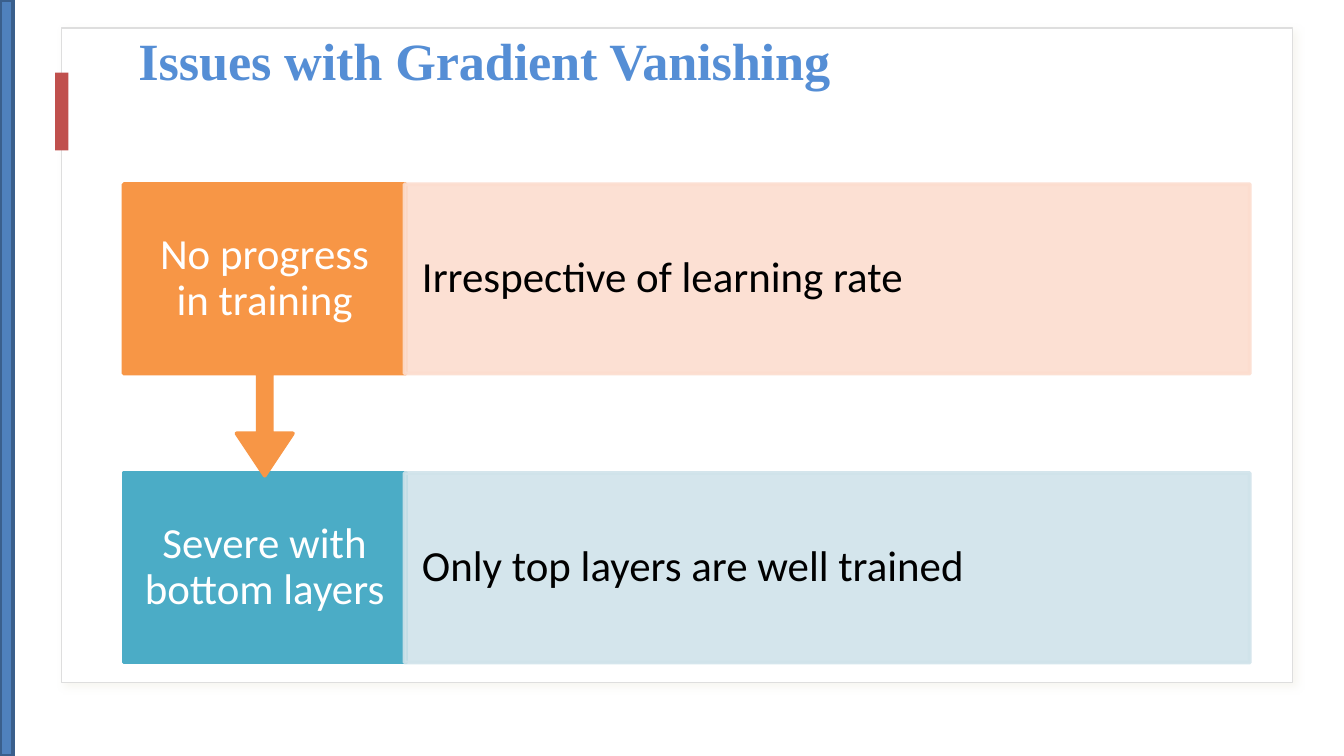
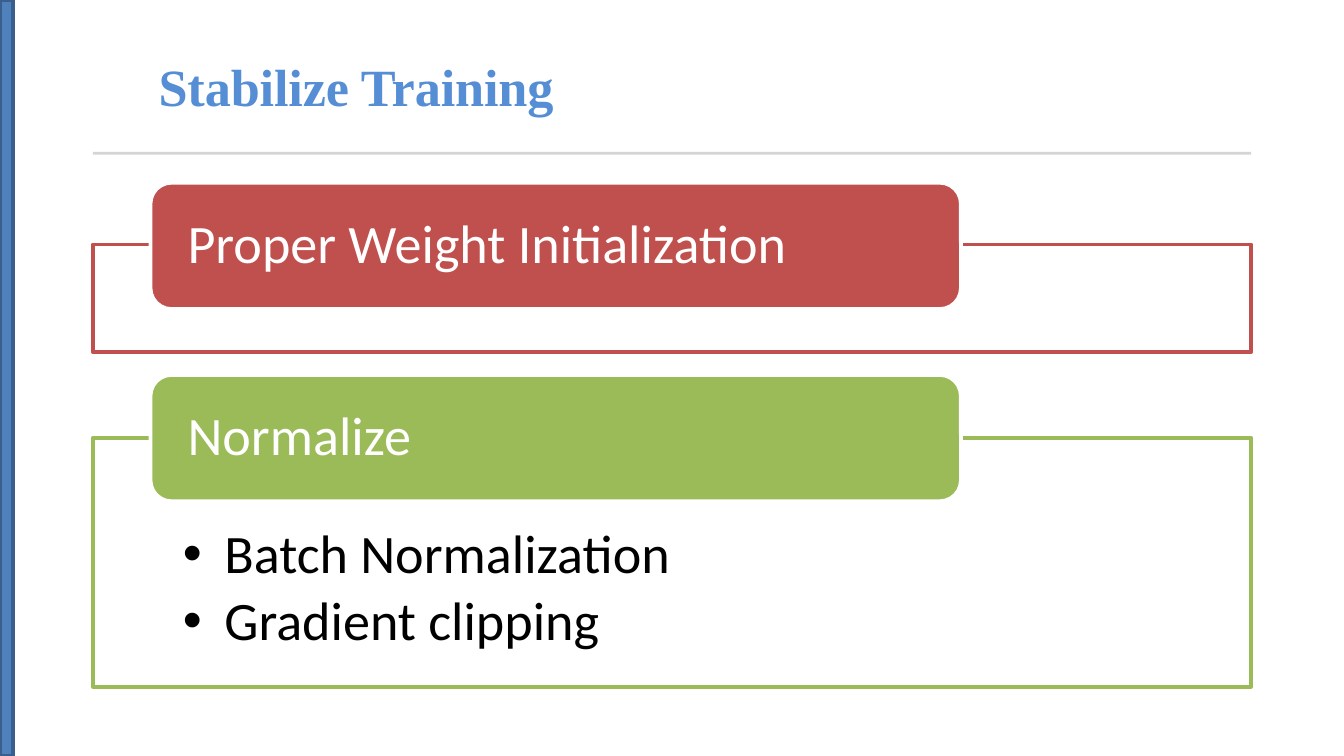
from lxml.etree import SubElement
from pptx import Presentation
from pptx.dml.color import RGBColor
from pptx.enum.shapes import MSO_SHAPE as Shape
from pptx.enum.text import MSO_ANCHOR as Anchor, MSO_AUTO_SIZE as AutoSize, PP_ALIGN as Align
from pptx.oxml.ns import qn
from pptx.util import Inches, Pt

WIDTH = 10
HEIGHT = WIDTH * 9 / 16
TITLE_LAYOUT, LIST_LAYOUT = 5, 1
WHITE, BLACK = "FFFFFF", "000000"
TITLE_BLUE, BAR_BLUE, BAR_EDGE = "558ED5", "4F81BD", "3A5F8C"
RED, GREEN, ORANGE, TEAL = "C0504D", "9BBB59", "F79646", "4BACC6"
PALE_ORANGE, PALE_TEAL = "FCDDCF", "D0E3EA"
CARD_EDGE, RULE_GREY, SHADOW = "DEDEDE", "D5D5D5", "D5D0B5"


def rgb(value):
    return RGBColor.from_string(value)


def set_alpha(color_element, percent):
    SubElement(color_element, qn("a:alpha"), val=str(percent * 1000))


def paint(shape, fill, line=None, width=2, alpha=None):
    shape.fill.solid()
    shape.fill.fore_color.rgb = rgb(fill)
    if line:
        shape.line.color.rgb = rgb(line)
        shape.line.width = Pt(width)
    else:
        shape.line.fill.background()
    if alpha:
        for color in shape.element.spPr.iter(qn("a:srgbClr")):
            set_alpha(color, alpha)


def place(shape, left, top, width, height):
    shape.left, shape.top = Inches(left), Inches(top)
    shape.width, shape.height = Inches(width), Inches(height)


def add_box(page, kind, area, fill, line=None, width=2, alpha=None):
    box = page.shapes.add_shape(kind, *map(Inches, area))
    box.shadow.inherit = False
    paint(box, fill, line, width, alpha)
    return box


def set_frame(frame, anchor, left, top, right, bottom):
    frame.word_wrap = True
    frame.auto_size = AutoSize.NONE
    frame.vertical_anchor = anchor
    frame.margin_left, frame.margin_top = Inches(left), Inches(top)
    frame.margin_right, frame.margin_bottom = Inches(right), Inches(bottom)


def style(para, size, color, name="Calibri", align=Align.LEFT):
    para.alignment = align
    para.font.name, para.font.size = name, Pt(size)
    para.font.color.rgb = rgb(color)


def write(box, text, size, color, inset_x, inset_y, align=Align.LEFT):
    """Put one vertically centred paragraph in a shape."""
    set_frame(box.text_frame, Anchor.MIDDLE, inset_x, inset_y, inset_x, inset_y)
    para = box.text_frame.paragraphs[0]
    para.text = text
    para.line_spacing = 0.9
    style(para, size, color, align=align)


def add_title(page, text, left, top):
    title = page.shapes.title
    place(title, left, top, 5.67, 0.49)
    set_frame(title.text_frame, Anchor.TOP, 0.01, 0.01, 0, 0)
    title.text_frame.auto_size = AutoSize.SHAPE_TO_FIT_TEXT
    para = title.text_frame.paragraphs[0]
    para.text = text
    para.space_before = Pt(1)
    style(para, 28, TITLE_BLUE, "Times New Roman")
    para.font.bold = True
    para.runs[0].font._element.set("spc", "-5")
    page.shapes.element.append(title.element)  # in front of the card


def add_side_bar(page):
    add_box(page, Shape.RECTANGLE, (0, 0, 0.1, HEIGHT), BAR_BLUE, BAR_EDGE)


def add_card(page):
    card = add_box(page, Shape.RECTANGLE, (0.46, 0.21, 9.16, 4.87), WHITE, CARD_EDGE, 0.75)
    effects = card.element.spPr.find(qn("a:effectLst"))
    shadow = SubElement(effects, qn("a:outerShdw"), blurRad=str(Pt(4)), dist=str(Pt(3)),
                        dir=str(45 * 60000), algn="tl", rotWithShape="0")
    set_alpha(SubElement(shadow, qn("a:srgbClr"), val=SHADOW), 20)
    add_box(page, Shape.RECTANGLE, (0.41, 0.54, 0.1, 0.58), RED)


def add_issue(page, top, label, detail, color, pale, leads_on):
    """Draw a coloured label, with an arrow down if it leads on, and its detail."""
    left, width, height = 0.92, 2.1, 1.41
    kind = Shape.DOWN_ARROW_CALLOUT if leads_on else Shape.RECTANGLE
    full_height = 2.17 if leads_on else height
    box = add_box(page, kind, (left, top, width, full_height), color, color)
    if leads_on:
        for index, value in enumerate((0.05, 0.1, 0.15, 0.65)):
            box.adjustments[index] = value
    write(box, label, 23, WHITE, 0.15, 0.18, Align.CENTER)
    box = add_box(page, Shape.RECTANGLE, (3.01, top, 6.29, height), pale, pale, alpha=90)
    write(box, detail, 23, BLACK, 0.13, 0.32)


def add_heading(page, top, text, color):
    box = add_box(page, Shape.ROUNDED_RECTANGLE, (1.12, top, 6.03, 0.94), color, WHITE)
    write(box, text, 29, WHITE, 0.23, 0)


def fill_list(body, area, items, color):
    """Turn the body placeholder into an outlined box with bullets."""
    place(body, *area)
    paint(body, WHITE, color)
    frame = body.text_frame
    set_frame(frame, Anchor.TOP, 0.67, 0.66, 0.67, 0.23)
    frame.text = "\n".join(items)
    for para in frame.paragraphs:
        style(para, 29, BLACK)
        para.line_spacing = 0.9
        para.space_before, para.space_after = Pt(0), Pt(4.35)
        props = para._p.get_or_add_pPr()
        props.set("marL", str(Inches(0.31)))
        props.set("indent", str(Inches(-0.31)))


def build_issues(deck):
    page = deck.slides.add_slide(deck.slide_layouts[TITLE_LAYOUT])
    add_card(page)
    add_issue(page, 3.52, "Severe with bottom layers", "Only top layers are well trained",
              TEAL, PALE_TEAL, leads_on=False)
    add_issue(page, 1.37, "No progress in training", "Irrespective of learning rate",
              ORANGE, PALE_ORANGE, leads_on=True)
    add_title(page, "Issues with Gradient Vanishing", 1.02, 0.2)
    add_side_bar(page)


def build_stabilize(deck):
    page = deck.slides.add_slide(deck.slide_layouts[LIST_LAYOUT])
    left, width = 0.69, 8.62
    add_box(page, Shape.RECTANGLE, (left, 1.13, width, 0.02), RULE_GREY)
    add_box(page, Shape.RECTANGLE, (left, 1.82, width, 0.8), WHITE, RED)
    add_heading(page, 1.36, "Proper Weight Initialization", RED)
    fill_list(page.placeholders[1], (left, 3.26, width, 1.85),
              ["Batch Normalization", "Gradient clipping"], GREEN)
    add_heading(page, 2.79, "Normalize", GREEN)
    add_title(page, "Stabilize Training", 1.17, 0.39)
    add_side_bar(page)


def main():
    deck = Presentation()
    deck.slide_width, deck.slide_height = Inches(WIDTH), Inches(HEIGHT)
    build_issues(deck)
    build_stabilize(deck)
    deck.save("out.pptx")


if __name__ == "__main__":
    main()
